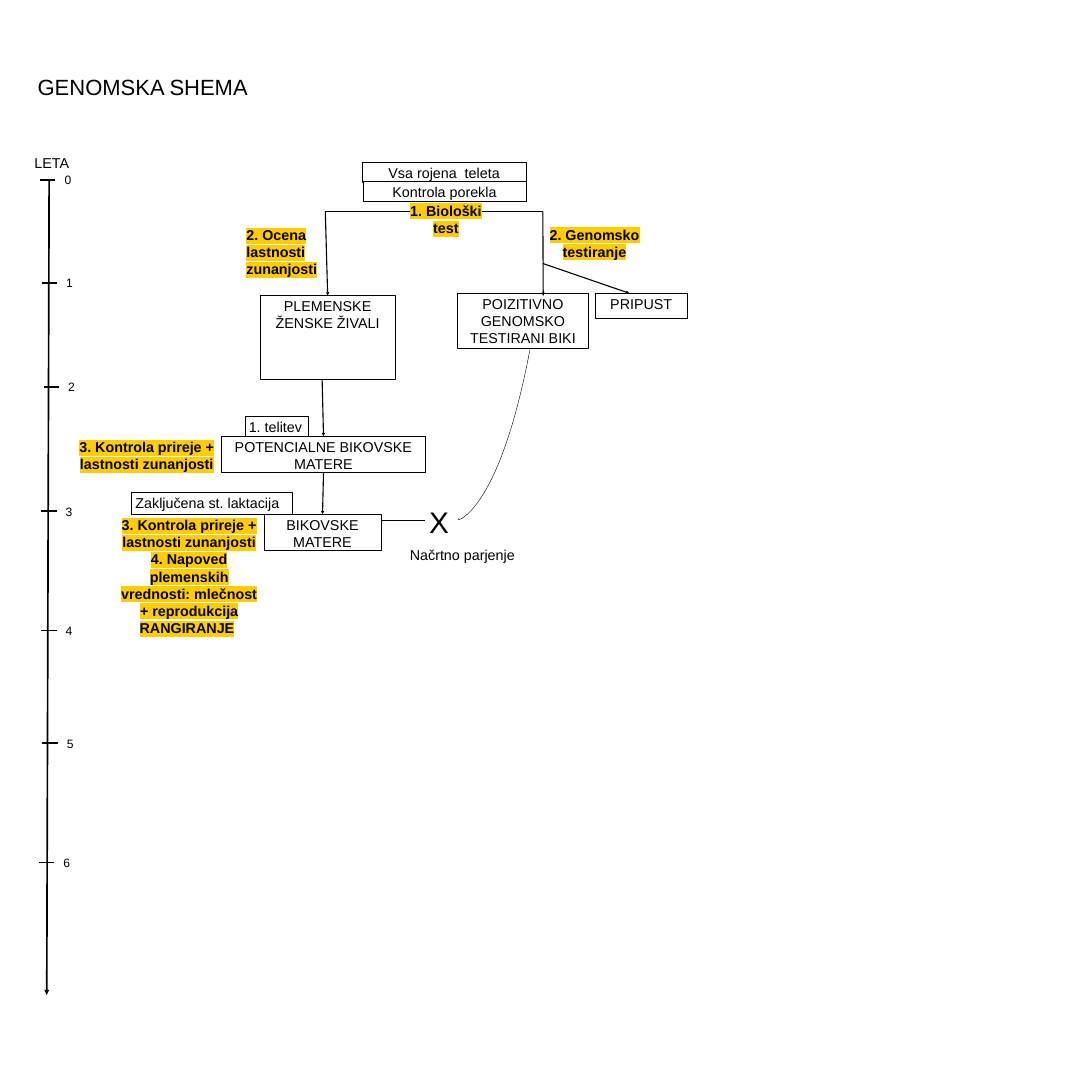
from lxml import etree
from pptx import Presentation, util as u
from pptx.dml.color import RGBColor
from pptx.enum import shapes as s, text as t
from pptx.oxml.ns import qn

BLACK, WHITE, AMBER = "000000", "FFFFFF", "FFCC00"
LEFT, CENTER = t.PP_ALIGN.LEFT, t.PP_ALIGN.CENTER


def color(hex_value):
    return RGBColor.from_string(hex_value)


def place(box, left, top, *size):
    """Shift an offset by the region's origin and convert everything to lengths."""
    return [u.Inches(v) for v in (box[0] + left, box[1] + top, *size)]


def write(frame, lines, align=CENTER, size=26, bold=False, highlight=None):
    frame.word_wrap = True
    frame.auto_size = t.MSO_AUTO_SIZE.NONE
    frame.vertical_anchor = t.MSO_ANCHOR.TOP
    for i, line in enumerate(lines.split("\n")):
        paragraph = frame.add_paragraph() if i else frame.paragraphs[0]
        paragraph.alignment = align
        run = paragraph.add_run()
        run.text = line
        for key, value in dict(name="Arial", size=u.Pt(size), bold=bold).items():
            setattr(run.font, key, value)
        run.font.color.rgb = color(BLACK)
        if highlight:
            mark = etree.Element(qn("a:highlight"))
            etree.SubElement(mark, qn("a:srgbClr"), val=highlight)
            run.font.fill  # the highlight follows the text fill
            run.font._element.find(qn("a:solidFill")).addnext(mark)


def add_label(slide, spot, lines, **style):
    write(slide.shapes.add_textbox(*spot).text_frame, lines, **style)


def add_step(slide, spot, lines, fill=None, outlined=True, **style):
    step = slide.shapes.add_shape(s.MSO_SHAPE.RECTANGLE, *spot)
    step.shadow.inherit = False
    if fill:
        step.fill.solid()
        step.fill.fore_color.rgb = color(fill)
    else:
        step.fill.background()
    if outlined:
        step.line.color.rgb = color(BLACK)
        step.line.width = u.Pt(0)
    else:
        step.line.fill.background()
    write(step.text_frame, lines, **style)
    return step


def add_line(slide, start, end, width=0, arrow=True, source=None, target=None):
    """Draw a line; source and target are (shape, side) pairs to join."""
    link = slide.shapes.add_connector(s.MSO_CONNECTOR.STRAIGHT, *start, *end)
    link.line.color.rgb = color(BLACK)
    link.line.width = u.Pt(width)
    if arrow:
        etree.SubElement(link.line._get_or_add_ln(), qn("a:tailEnd"), type="triangle")
    etree.SubElement(link._element.spPr, qn("a:effectLst"))
    if source:
        link.begin_connect(*source)
    if target:
        link.end_connect(*target)


def heading(slide, box):
    title = slide.shapes.title
    title.left, title.top, title.width, title.height = place(box, 0, 0, *box[2:])
    write(title.text_frame, "GENOMSKA SHEMA", align=LEFT, size=40)


def age_axis(slide, box):
    add_label(slide, place(box, 0, 0, 2.03, 0.53), "LETA", align=LEFT)
    add_line(slide, place(box, 0.47, 0.7), place(box, 0.41, 21.27), width=3)
    ticks = [(0.24, 0.7), (0.28, 3.3), (0.33, 5.92), (0.27, 9.06),
             (0.27, 12.07), (0.3, 14.92), (0.21, 17.93)]
    for year, (x, y) in enumerate(ticks):
        add_line(slide, place(box, x, y), place(box, x + 0.39, y), width=3, arrow=False)
        add_label(slide, place(box, x + 0.52, y - 0.23, 0.64, 0.44), str(year),
                  align=LEFT, size=22)


def calf_testing(slide, box):
    """Draw the calves and their selection; return the breeding females' box."""
    add_step(slide, place(box, 3.14, 0.1, 4.14, 0.5), "Vsa rojena  teleta")
    add_step(slide, place(box, 3.16, 0.57, 4.12, 0.5), "Kontrola porekla", fill=WHITE)
    females = add_step(slide, place(box, 0.57, 3.46, 3.4, 2.12), "PLEMENSKE ŽENSKE ŽIVALI")
    add_step(slide, place(box, 5.55, 3.4, 3.3, 1.4), "POIZITIVNO\nGENOMSKO TESTIRANI BIKI")
    add_step(slide, place(box, 9.03, 3.4, 2.31, 0.63), "PRIPUST")

    female_end, male_end = place(box, 2.21, 1.34), place(box, 7.7, 1.34)
    add_line(slide, female_end, male_end, arrow=False)
    add_line(slide, female_end, place(box, 2.24, 3.46), target=(females, 0))
    add_line(slide, male_end, place(box, 7.71, 3.47))
    add_line(slide, place(box, 7.7, 2.65), place(box, 9.88, 3.4))

    for spot, lines, align in [
        ((4.16, 1.05, 2.19, 0.91), "1. Biološki test", CENTER),
        ((0.12, 1.66, 2.62, 1.31), "2. Ocena lastnosti zunanjosti", LEFT),
        ((7.06, 1.65, 3.89, 2.12), "2. Genomsko testiranje", CENTER),
    ]:
        add_label(slide, place(box, *spot), lines, align=align, bold=True, highlight=AMBER)


def bull_mothers(slide, box):
    potential = add_step(slide, place(box, 4.09, 1.01, 5.15, 0.91),
                         "POTENCIALNE BIKOVSKE MATERE")
    mothers = add_step(slide, place(box, 5.16, 2.98, 2.96, 0.91), "BIKOVSKE MATERE")
    add_step(slide, place(box, 4.68, 0.51, 1.59, 0.5), "1. telitev", align=LEFT)
    add_step(slide, place(box, 1.82, 2.43, 4.06, 0.55), "Zaključena st. laktacija",
             align=LEFT)
    add_line(slide, place(box, 6.63, -0.42), place(box, 6.63, 1.01), target=(potential, 0))
    add_line(slide, place(box, 6.61, 1.92), place(box, 6.62, 2.98),
             source=(potential, 2), target=(mothers, 0))

    control = "3. Kontrola prireje + lastnosti zunanjosti"
    ranking = "4. Napoved plemenskih vrednosti: mlečnost + reprodukcija\nRANGIRANJE\t"
    for spot, lines in [((0.32, 1.01, 3.77, 0.91), control),
                        ((1.39, 2.98, 3.77, 2.92), f"{control}\n{ranking}")]:
        add_label(slide, place(box, *spot), lines, bold=True, highlight=AMBER)


def planned_mating(slide, box):
    bend = [(3.38, 0.8), (2.62, 4.84), (1.58, 5.12), (1.58, 5.12)]
    steps = 30
    points = []
    for i in range(steps + 1):
        k = i / steps
        weights = ((1 - k) ** 3, 3 * k * (1 - k) ** 2, 3 * k * k * (1 - k), k ** 3)
        points.append(place(box, *(sum(w * p[axis] for w, p in zip(weights, bend))
                                   for axis in (0, 1))))
    points.append(place(box, 1.55, 5.05))
    builder = slide.shapes.build_freeform(*points[0])
    builder.add_line_segments(points[1:], close=False)
    bull_path = builder.convert_to_shape()
    bull_path.shadow.inherit = False
    bull_path.fill.background()
    bull_path.line.color.rgb = color(BLACK)
    bull_path.line.width = u.Pt(0)

    add_label(slide, place(box, 0.09, 5.73, 3.16, 1.5), "Načrtno parjenje")
    cross = add_step(slide, place(box, 0.73, 4.66, 0.83, 0.94), "X", fill=WHITE,
                     outlined=False, align=LEFT, size=54)
    add_line(slide, place(box, -0.38, 5.13), place(box, 0.73, 5.13), arrow=False,
             target=(cross, 1))


def main():
    deck = Presentation()
    deck.slide_width = deck.slide_height = u.Inches(27.56)
    slide = deck.slides.add_slide(deck.slide_layouts[5])
    heading(slide, (0.85, 1.8, 16.55, 0.78))
    age_axis(slide, (0.77, 3.84))
    calf_testing(slide, (6, 4))
    bull_mothers(slide, (1.5, 10))
    planned_mating(slide, (10, 8))
    deck.save("out.pptx")


if __name__ == "__main__":
    main()
